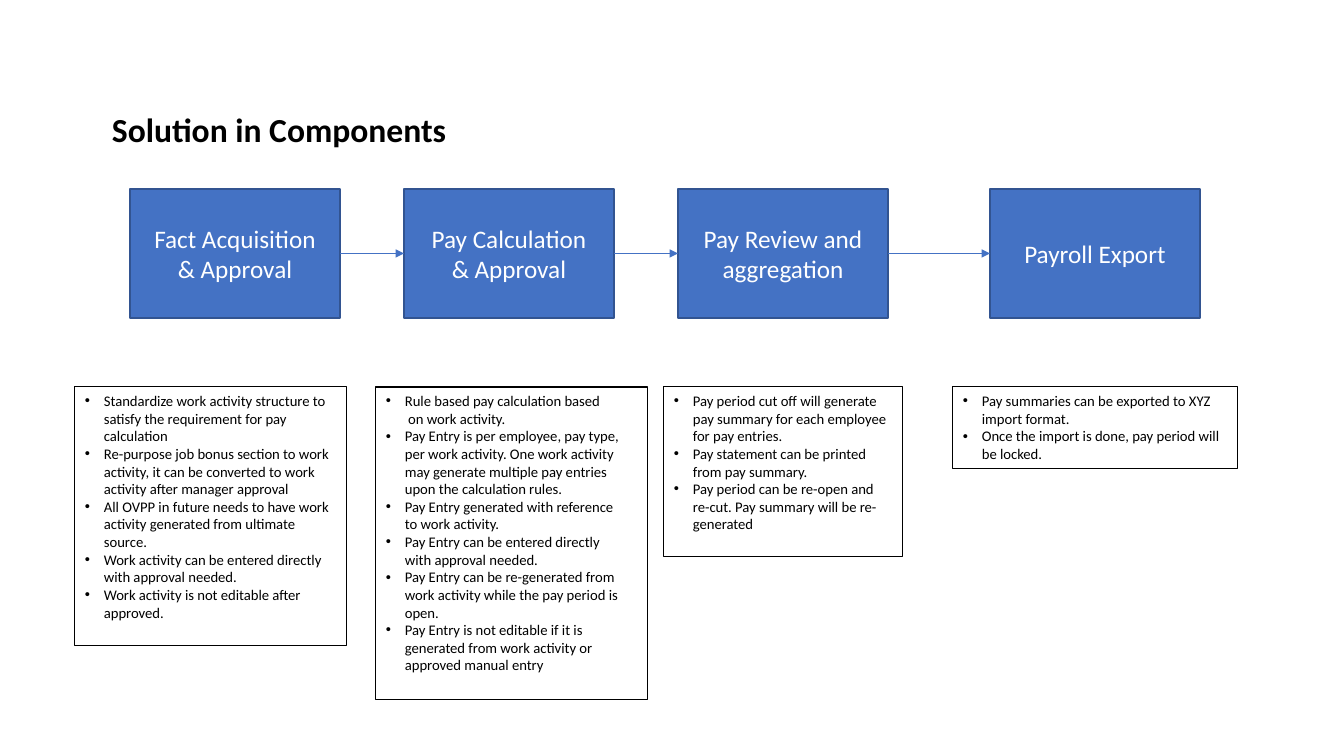
from lxml import etree
from pptx import Presentation
from pptx.dml.color import RGBColor
from pptx.enum.shapes import MSO_CONNECTOR, MSO_SHAPE
from pptx.enum.text import MSO_ANCHOR, PP_ALIGN
from pptx.oxml.ns import qn
from pptx.util import Emu, Pt

PROCESS = MSO_SHAPE.FLOWCHART_PROCESS
STRAIGHT = MSO_CONNECTOR.STRAIGHT
MIDDLE = MSO_ANCHOR.MIDDLE
CENTER = PP_ALIGN.CENTER
LEFT_SIDE, RIGHT_SIDE = 1, 3

FONT = "Calibri"
BLACK, WHITE = "000000", "FFFFFF"
BLUE, DARK_BLUE = "4472C4", "325491"
EMU_PER_PX = 914400 / 100.8
BULLET_INDENT = 19

STEP_TOP, STEP_WIDTH, STEP_HEIGHT = 189, 210, 129
NOTE_TOP = 387

COMPONENTS = [
    (130, ["Fact Acquisition", "& Approval"], (75, 272, 259), [
        "Standardize work activity structure to satisfy the requirement for pay calculation",
        "Re-purpose job bonus section to work activity, it can be converted to work "
        "activity after manager approval",
        "All OVPP in future needs to have work activity generated from ultimate source.",
        "Work activity can be entered directly with approval needed.",
        "Work activity is not editable after approved.",
    ]),
    (404, ["Pay Calculation", "& Approval"], (376, 272, 313), [
        "Rule based pay calculation based\n on work activity.",
        "Pay Entry is per employee, pay type,\nper work activity. One work activity\n"
        "may generate multiple pay entries\nupon the calculation rules.",
        "Pay Entry generated with reference\nto work activity.",
        "Pay Entry can be entered directly\nwith approval needed.",
        "Pay Entry can be re-generated from\nwork activity while the pay period is\nopen.",
        "Pay Entry is not editable if it is generated from work activity or "
        "approved manual entry",
    ]),
    (678, ["Pay Review and aggregation"], (664, 239, 170), [
        "Pay period cut off will generate pay summary for each employee for pay entries.",
        "Pay statement can be printed from pay summary.",
        "Pay period can be re-open and re-cut. Pay summary will be re-generated",
    ]),
    (990, ["Payroll Export"], (953, 285, 82), [
        "Pay summaries can be exported to XYZ import format.",
        "Once the import is done, pay period will be locked.",
    ]),
]


def px(length):
    return Emu(round(length * EMU_PER_PX))


def color(code):
    return RGBColor.from_string(code)


def add_lines(para, text, size, code, bold=False):
    for index, line in enumerate(text.split("\n")):
        if index:
            para.add_line_break()
        span = para.add_run()
        span.text = line
        span.font.name = FONT
        span.font.size = Pt(size)
        span.font.bold = bold
        span.font.color.rgb = color(code)


def add_paragraphs(frame, texts, size, code, bold=False):
    for index, text in enumerate(texts):
        para = frame.add_paragraph() if index else frame.paragraphs[0]
        add_lines(para, text, size, code, bold)
    return frame.paragraphs


def add_bullet(para):
    properties = para._p.get_or_add_pPr()
    properties.set("marL", str(px(BULLET_INDENT)))
    properties.set("indent", str(-px(BULLET_INDENT)))
    etree.SubElement(properties, qn("a:buFont")).set("typeface", "Arial")
    etree.SubElement(properties, qn("a:buChar")).set("char", "•")


def add_title(page, left, top, width, height):
    box = page.shapes.add_textbox(px(left), px(top), px(width), px(height))
    box.text_frame.word_wrap = False
    add_paragraphs(box.text_frame, ["Solution in Components"], 24, BLACK, True)


def add_step(page, left, top, width, height, texts):
    box = page.shapes.add_shape(PROCESS, px(left), px(top), px(width), px(height))
    box.shadow.inherit = False
    box.fill.solid()
    box.fill.fore_color.rgb = color(BLUE)
    box.line.color.rgb = color(DARK_BLUE)
    box.line.width = Pt(1)
    box.text_frame.word_wrap = True
    box.text_frame.vertical_anchor = MIDDLE
    for para in add_paragraphs(box.text_frame, texts, 18, WHITE):
        para.alignment = CENTER
    return box


def add_note(page, left, top, width, height, texts):
    box = page.shapes.add_textbox(px(left), px(top), px(width), px(height))
    box.line.color.rgb = color(BLACK)
    box.line.width = Pt(0.75)
    box.text_frame.word_wrap = True
    for para in add_paragraphs(box.text_frame, texts, 10.5, BLACK):
        add_bullet(para)


def add_arrow(page, source, target):
    arrow = page.shapes.add_connector(STRAIGHT, 0, 0, 0, 0)
    arrow.begin_connect(source, RIGHT_SIDE)
    arrow.end_connect(target, LEFT_SIDE)
    arrow.line.color.rgb = color(BLUE)
    arrow.line.width = Pt(0.5)
    etree.SubElement(arrow.line._get_or_add_ln(), qn("a:tailEnd")).set("type", "triangle")
    etree.SubElement(arrow._element.spPr, qn("a:effectLst"))


def add_components(page):
    steps = [
        add_step(page, left, STEP_TOP, STEP_WIDTH, STEP_HEIGHT, texts)
        for left, texts, _, _ in COMPONENTS
    ]
    for source, target in zip(steps, steps[1:]):
        add_arrow(page, source, target)
    for _, _, (left, width, height), texts in COMPONENTS:
        add_note(page, left, NOTE_TOP, width, height, texts)


def main():
    deck = Presentation()
    deck.slide_width = px(1344)
    deck.slide_height = px(756)
    page = deck.slides.add_slide(deck.slide_layouts[6])
    add_title(page, 102, 104, 358, 50)
    add_components(page)
    deck.save("out.pptx")


if __name__ == "__main__":
    main()
